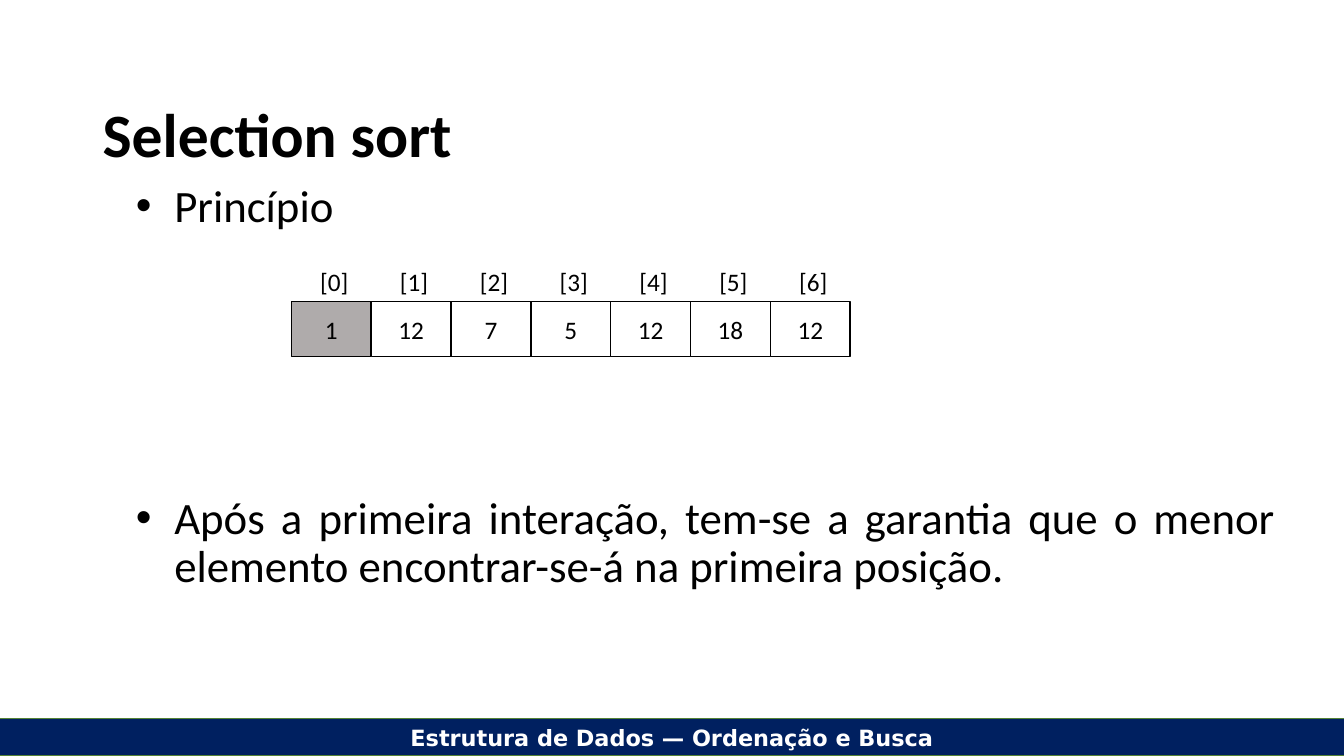
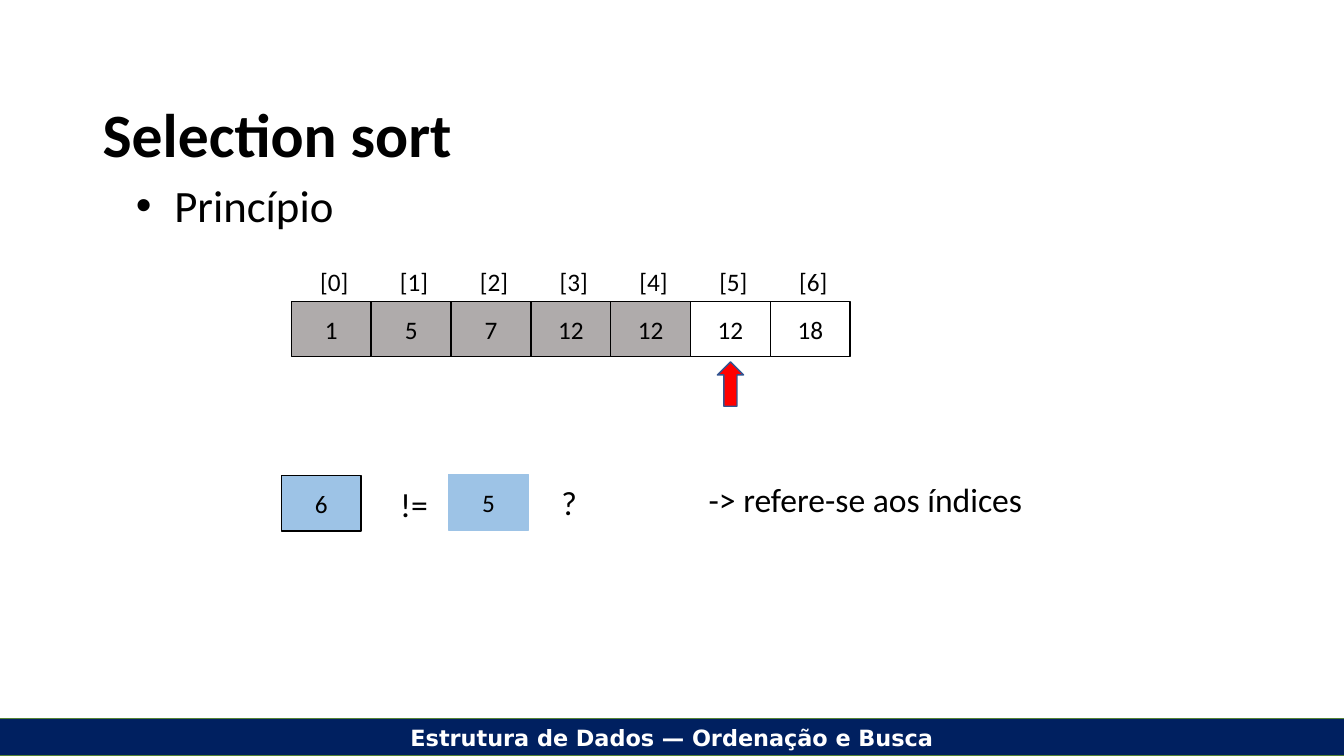
from lxml.etree import SubElement
from pptx import Presentation
from pptx.dml.color import RGBColor
from pptx.enum.shapes import MSO_SHAPE
from pptx.enum.text import MSO_ANCHOR, PP_ALIGN
from pptx.oxml.ns import qn
from pptx.util import Inches, Pt

WIDE, HIGH = Inches(13.33), Inches(7.5)
BLACK, WHITE, GRAY, BLUE = "000000", "FFFFFF", "AFABAB", "9DC3E6"
NAVY, GREEN, RED, EDGE = "002060", "548235", "FF0000", "325491"
CELL_W, CELL_H = 5.94, 7.33
ROW_X, ROW_Y = 21.68, 39.87
INDENT = Inches(0.38)


def color(code):
    return RGBColor.from_string(code)


def place(x, y, w, h):
    """Turn percentages of the slide's size into lengths."""
    return (int(WIDE * x / 100), int(HIGH * y / 100),
            int(WIDE * w / 100), int(HIGH * h / 100))


def write(shape, text, size=18, font="Calibri", ink=BLACK, bold=False,
          align=PP_ALIGN.LEFT, anchor=MSO_ANCHOR.TOP, wrap=True,
          spacing=None, bullet=None):
    frame = shape.text_frame
    frame.word_wrap = wrap
    frame.vertical_anchor = anchor
    para = frame.paragraphs[0]
    if bullet:
        props = para._p.get_or_add_pPr()
        props.set("marL", str(INDENT))
        props.set("indent", str(-INDENT))
        SubElement(props, qn("a:buFont")).set("typeface", "Arial")
        SubElement(props, qn("a:buChar")).set("char", bullet)
    para.alignment = align
    if spacing:
        para.line_spacing = spacing
    run = para.add_run()
    run.text = text
    run.font.size = Pt(size)
    run.font.name = font
    run.font.bold = bold
    run.font.color.rgb = color(ink)


def label(slide, text, area, **form):
    write(slide.shapes.add_textbox(*place(*area)), text, **form)


def block(slide, area, fill, line=BLACK, width=1, kind=MSO_SHAPE.RECTANGLE):
    shape = slide.shapes.add_shape(kind, *place(*area))
    shape.shadow.inherit = False
    shape.fill.solid()
    shape.fill.fore_color.rgb = color(fill)
    shape.line.color.rgb = color(line)
    shape.line.width = Pt(width)
    return shape


def cell(slide, text, x, y, fill, line=BLACK):
    shape = block(slide, (x, y, CELL_W, CELL_H), fill, line)
    write(shape, text, align=PP_ALIGN.CENTER, anchor=MSO_ANCHOR.MIDDLE)


def point(slide, text, y):
    label(slide, text, (9.38, y, 86.27, 24), size=32, bullet="•",
          align=PP_ALIGN.JUSTIFY, spacing=0.9)


def array(slide, values, done):
    """Draw the indexed cells, the first ones shaded as sorted."""
    for i, value in enumerate(values):
        x = ROW_X + i * CELL_W
        cell(slide, str(value), x, ROW_Y, GRAY if i < done else WHITE)
        label(slide, f"[{i}]", (x + 1.4, 34.53, 3.6, 5.33), wrap=False)


def arrow(slide, index):
    wide = 1.95
    x = ROW_X + index * CELL_W + (CELL_W - wide) / 2
    block(slide, (x, 47.87, wide, 5.87), RED, EDGE, kind=MSO_SHAPE.UP_ARROW)


def test(slide, left, right):
    """Draw the comparison of two indices."""
    cell(slide, left, 20.93, 62.93, BLUE)
    cell(slide, right, 33.38, 62.8, BLUE, BLUE)
    for text, x, y, w in (("!=", 29.03, 63.33, 4.8),
                          ("?", 41.04, 63.07, 3),
                          ("-> refere-se aos índices", 51.99, 62.67, 26.56)):
        label(slide, text, (x, y, w, 6.67), size=24)


def start(deck):
    """Add a slide with the shared footer, title and first point."""
    slide = deck.slides.add_slide(deck.slide_layouts[6])
    band = block(slide, (-0.08, 95.07, 100.16, 4.93), NAVY, GREEN, 0.75)
    write(band, "Estrutura de Dados — Ordenação e Busca", size=16,
          font="DejaVu Sans", ink=WHITE, bold=True, align=PP_ALIGN.CENTER,
          anchor=MSO_ANCHOR.MIDDLE)
    label(slide, "Selection sort", (6.9, 12.8, 86.27, 10.8), size=44,
          bold=True, anchor=MSO_ANCHOR.MIDDLE, spacing=0.9)
    point(slide, "Princípio", 23.6)
    return slide


def main():
    deck = Presentation()
    deck.slide_width, deck.slide_height = WIDE, HIGH

    first = start(deck)
    array(first, (1, 12, 7, 5, 12, 18, 12), done=1)
    point(first, "Após a primeira interação, tem-se a garantia que o menor "
          "elemento encontrar-se-á na primeira posição.", 64.93)

    last = start(deck)
    array(last, (1, 5, 7, 12, 12, 12, 18), done=5)
    arrow(last, 5)
    test(last, "6", "5")

    deck.save("out.pptx")


if __name__ == "__main__":
    main()
